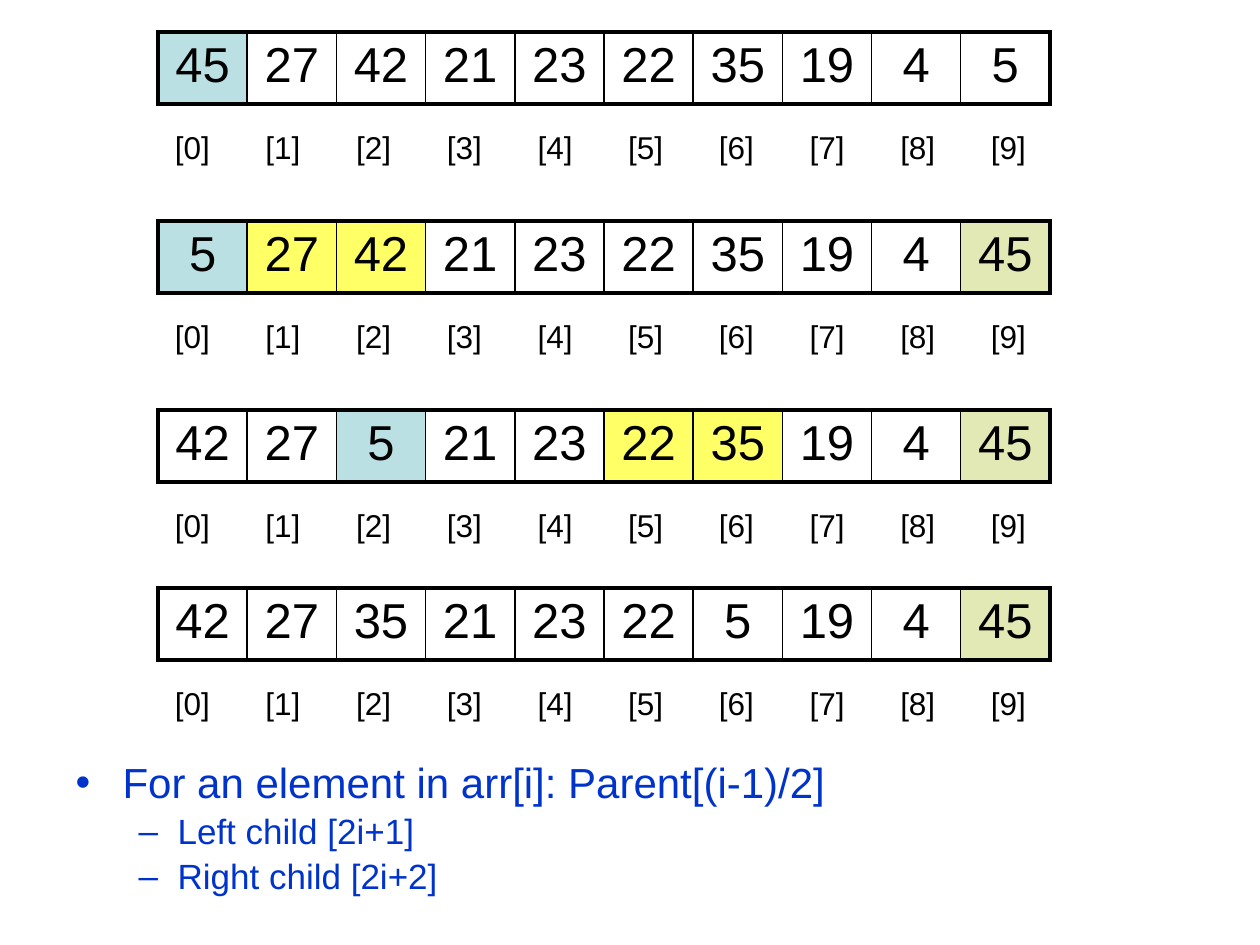
import dataclasses
import typing

import lxml.etree
import pptx
import pptx.dml.color
import pptx.enum.text
import pptx.oxml.ns
import pptx.util

PX = 914400 / 126
FONT = "Arial"
NO_STYLE = "{2D5ABB26-0587-4C30-8999-92F81FD0307C}"
COLOURS = {
    "ink": "000000",
    "note": "0033CC",
    "current": "BBE0E3",
    "child": "FFFF66",
    "sorted": "E2E9B5",
}


@dataclasses.dataclass
class HeapStep:
    top: int
    values: list[int]
    marks: dict[int, str]


@dataclasses.dataclass
class Note:
    text: str
    level: int
    size: int
    bullet: str
    margin: int
    hanging: int


STEPS = [
    HeapStep(32, [45, 27, 42, 21, 23, 22, 35, 19, 4, 5], {0: "current"}),
    HeapStep(221, [5, 27, 42, 21, 23, 22, 35, 19, 4, 45],
             {0: "current", 1: "child", 2: "child", 9: "sorted"}),
    HeapStep(410, [42, 27, 5, 21, 23, 22, 35, 19, 4, 45],
             {2: "current", 5: "child", 6: "child", 9: "sorted"}),
    HeapStep(588, [42, 27, 35, 21, 23, 22, 5, 19, 4, 45], {9: "sorted"}),
]
NOTES = [
    Note("For an element in arr[i]: Parent[(i-1)/2]", 0, 24, "•", 47, 47),
    Note("Left child [2i+1]", 1, 20, "–", 102, 39),
    Note("Right child [2i+2]", 1, 20, "–", 102, 39),
]


def px(length: int) -> pptx.util.Emu:
    return pptx.util.Emu(round(length * PX))


def add_element(parent: typing.Any, tag: str, **attributes: str) -> typing.Any:
    return lxml.etree.SubElement(parent, pptx.oxml.ns.qn(tag), attributes)


def write_text(para: typing.Any, text: str, *, size: int, colour: str = "ink",
               align: typing.Any = None) -> None:
    para.alignment = align
    span = para.add_run()
    span.text = text
    span.font.name = FONT
    span.font.size = pptx.util.Pt(size)
    span.font.color.rgb = pptx.dml.color.RGBColor.from_string(COLOURS[colour])


def set_borders(cell: typing.Any, widths: dict[str, float]) -> None:
    properties = cell._tc.get_or_add_tcPr()
    for side in "LRTB":
        line = add_element(properties, f"a:ln{side}", w=str(pptx.util.Pt(widths[side])))
        fill = add_element(line, "a:solidFill")
        add_element(fill, "a:srgbClr", val=COLOURS["ink"])


def draw_row(page: typing.Any, texts: list[str], left: int, top: int, width: int,
             height: int, *, size: int, anchor: typing.Any,
             marks: dict[int, str], framed: bool) -> None:
    frame = page.shapes.add_table(1, len(texts), px(left), px(top), px(width), px(height))
    table = frame.table
    table.first_row = table.horz_banding = False
    table._tbl.tblPr.find(pptx.oxml.ns.qn("a:tableStyleId")).text = NO_STYLE
    last = len(texts) - 1
    for index, text in enumerate(texts):
        cell = table.cell(0, index)
        cell.vertical_anchor = anchor
        write_text(cell.text_frame.paragraphs[0], text, size=size,
                   align=pptx.enum.text.PP_ALIGN.CENTER)
        if framed:
            set_borders(cell, {"L": 2.25 if index == 0 else 1,
                               "R": 2.25 if index == last else 1,
                               "T": 2.25, "B": 2.25})
        if index in marks:
            cell.fill.solid()
            cell.fill.fore_color.rgb = pptx.dml.color.RGBColor.from_string(
                COLOURS[marks[index]])
        else:
            cell.fill.background()


def draw_step(page: typing.Any, step: HeapStep) -> None:
    draw_row(page, [str(value) for value in step.values], 158, step.top, 892, 72,
             size=28, anchor=pptx.enum.text.MSO_ANCHOR.TOP,
             marks=step.marks, framed=True)
    draw_row(page, [f"[{index}]" for index in range(len(step.values))],
             147, step.top + 92, 907, 50, size=18,
             anchor=pptx.enum.text.MSO_ANCHOR.MIDDLE, marks={}, framed=False)


def write_notes(box: typing.Any, notes: list[Note]) -> None:
    box.left, box.top, box.width, box.height = px(63), px(756), px(1134), px(158)
    text_frame = box.text_frame
    text_frame.word_wrap = True
    text_frame.auto_size = pptx.enum.text.MSO_AUTO_SIZE.NONE
    for index, note in enumerate(notes):
        para = text_frame.add_paragraph() if index else text_frame.paragraphs[0]
        para.level = note.level
        para.line_spacing = 0.9
        para.space_before = pptx.util.Pt(note.size * 0.2 if index else 0)
        properties = para._p.get_or_add_pPr()
        properties.set("marL", str(px(note.margin)))
        properties.set("indent", str(-px(note.hanging)))
        add_element(properties, "a:buFont", typeface=FONT)
        add_element(properties, "a:buChar", char=note.bullet)
        write_text(para, note.text, size=note.size, colour="note")


def main() -> None:
    deck = pptx.Presentation()
    deck.slide_width, deck.slide_height = px(1260), px(945)
    page = deck.slides.add_slide(deck.slide_layouts[1])

    # The slide has body text but no title
    title = page.shapes.title._element
    title.getparent().remove(title)
    write_notes(page.placeholders[1], NOTES)

    # Array states, each with its index row
    for step in STEPS:
        draw_step(page, step)

    deck.save("out.pptx")


if __name__ == "__main__":
    main()
